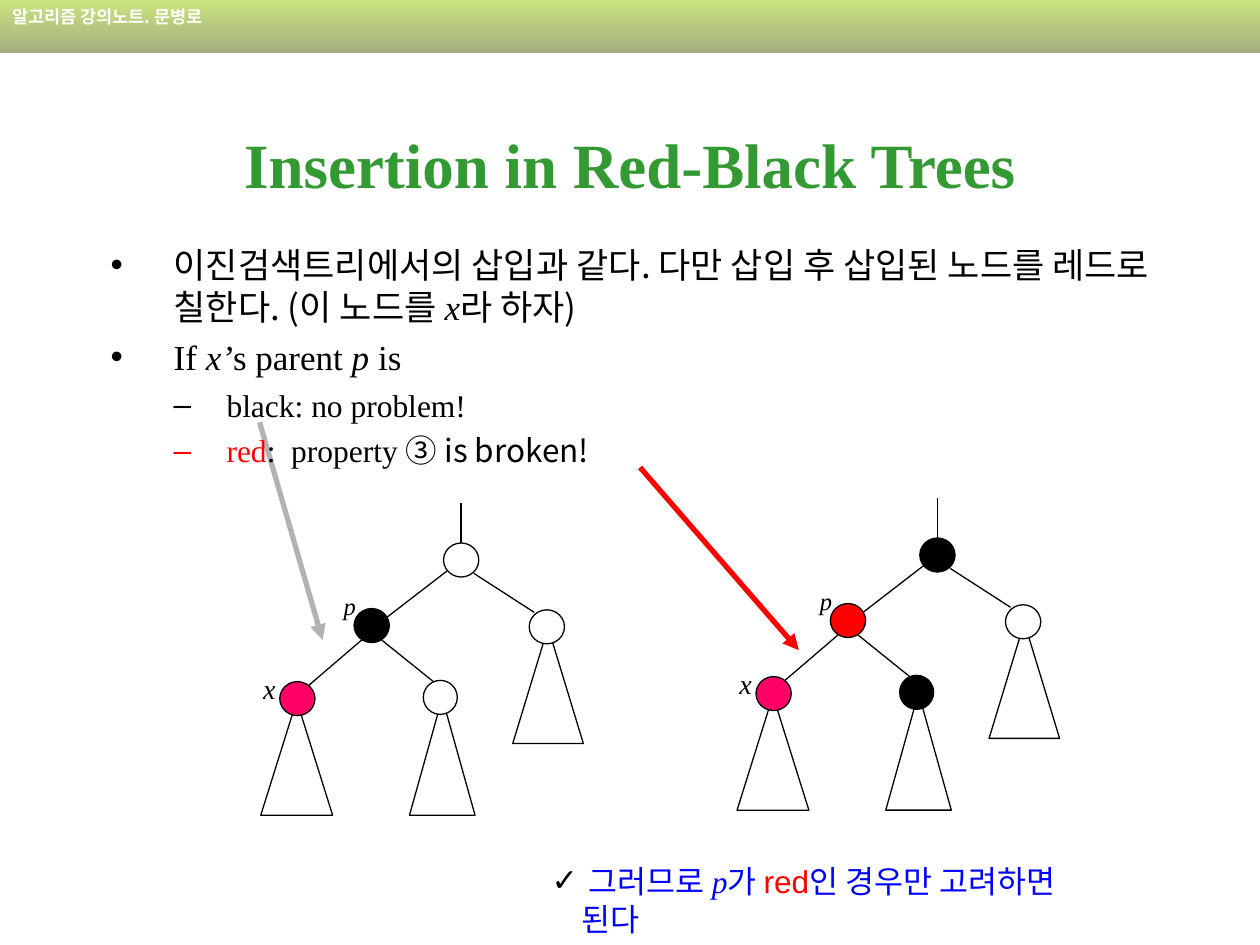
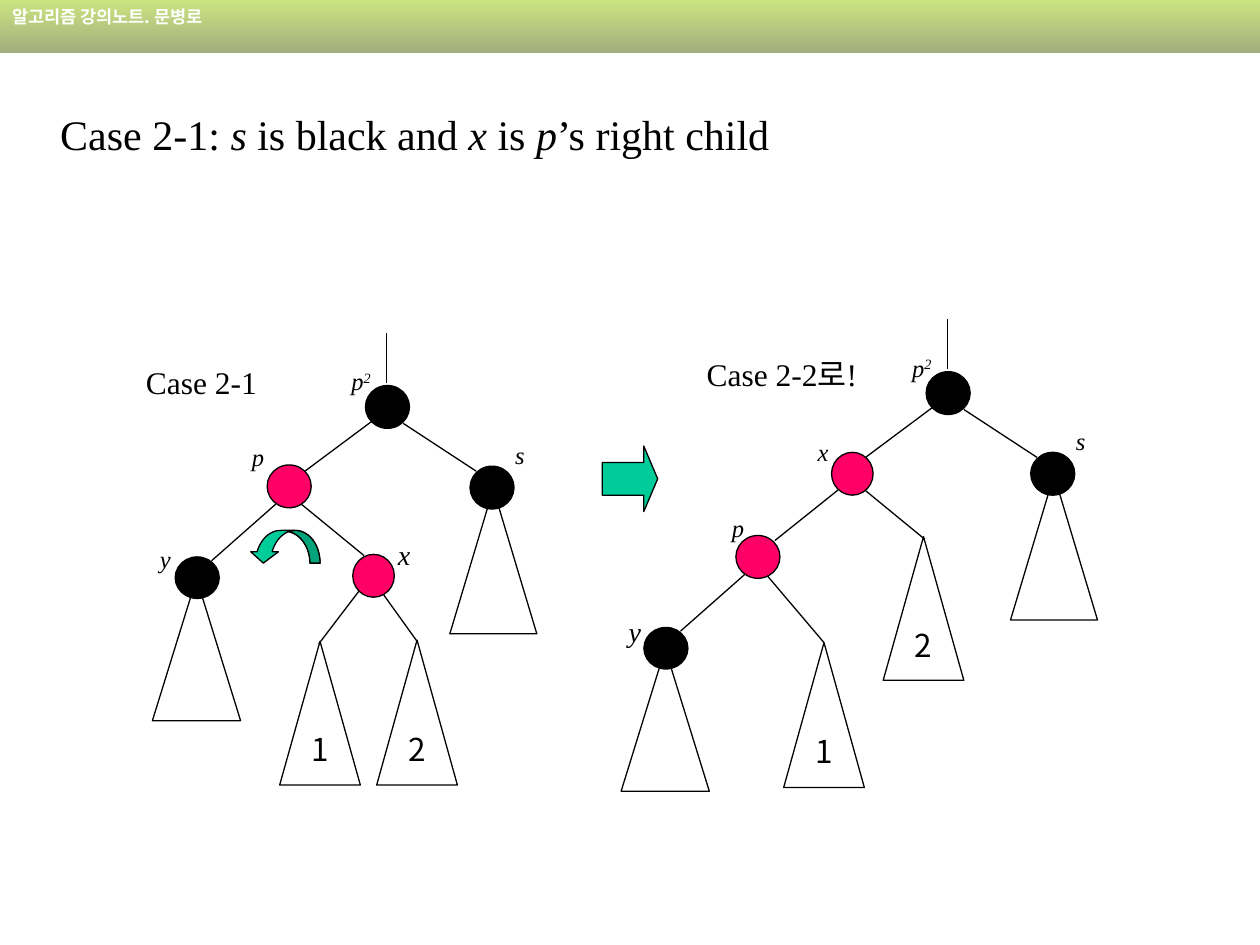
from dataclasses import dataclass

import pptx
import pptx.dml.color
import pptx.enum.dml
import pptx.enum.shapes
import pptx.enum.text
import pptx.oxml.ns
import pptx.util
from lxml import etree

Inches = pptx.util.Inches
Pt = pptx.util.Pt
SHAPE = pptx.enum.shapes.MSO_SHAPE
ALIGN = pptx.enum.text.PP_ALIGN
ANCHOR = pptx.enum.text.MSO_ANCHOR
qn = pptx.oxml.ns.qn


@dataclass(frozen=True)
class Theme:
    serif: str = "Times New Roman"
    sans: str = "Arial"
    korean: str = "Noto Sans CJK KR"
    black: str = "000000"
    white: str = "FFFFFF"
    red: str = "FF0000"
    pink: str = "FF0066"
    blue: str = "0000FF"
    grey: str = "B2B2B2"
    title: str = "339933"
    arrow: str = "00CC99"
    arrow_shade: str = "00A37A"
    band: tuple = ("99CC00", "475E00")
    title_size: int = 36
    heading_size: int = 24
    body_size: int = 20
    text_size: int = 18
    big_label: int = 16
    label: int = 14
    header_size: int = 10
    thin: float = 0.75
    thick: float = 3


T = Theme()
ITALIC = dict(name=T.serif, italic=True)
KOREAN = dict(name=T.korean)


def rgb(code):
    return pptx.dml.color.RGBColor.from_string(code)


def add_xml(parent, tag, **attrs):
    return etree.SubElement(parent, qn(tag), **attrs)


def write(p, runs, **base):
    """Fill a paragraph from strings or (string, format) pairs."""
    for item in runs:
        text, own = (item, {}) if isinstance(item, str) else item
        fmt = {"name": T.serif, "size": T.text_size, "color": T.black, **base, **own}
        r = p.add_run()
        r.text = text
        r.font.color.rgb = rgb(fmt.pop("color"))
        baseline = fmt.pop("baseline", None)
        fmt["size"] = Pt(fmt["size"])
        for key, value in fmt.items():
            setattr(r.font, key, value)
        rPr = r.font._element
        add_xml(rPr, "a:ea", typeface=T.korean)
        if baseline:
            rPr.set("baseline", str(baseline))


def bullet(p, char, margin, hang, color=T.black):
    pPr = p._p.get_or_add_pPr()
    pPr.set("marL", str(Inches(margin)))
    pPr.set("indent", str(-Inches(hang)))
    if char:
        add_xml(add_xml(pPr, "a:buClr"), "a:srgbClr", val=color)
        add_xml(pPr, "a:buFont", typeface=T.sans)
        add_xml(pPr, "a:buChar", char=char)


def bezier(p0, p1, p2, p3, steps=12):
    """Points along a cubic curve, without its start."""
    for i in range(1, steps + 1):
        t = i / steps
        u = 1 - t
        yield tuple(u**3 * a + 3 * u * u * t * b + 3 * u * t * t * c + t**3 * d
                    for a, b, c, d in zip(p0, p1, p2, p3))


class Deck:
    def __init__(self):
        self.prs = pptx.Presentation()
        self.prs.slide_width, self.prs.slide_height = Inches(10), Inches(7.5)
        self.s = None

    def new_slide(self):
        self.s = self.prs.slides.add_slide(self.prs.slide_layouts[6])
        self.header()

    def header(self):
        sp = self.shape(SHAPE.RECTANGLE, 0, 0, 10, 0.42, line=None)
        sp.fill.gradient()
        sp.fill.gradient_angle = 270
        for stop, color in zip(sp.fill.gradient_stops, T.band):
            stop.color.rgb = rgb(color)
        for clr in sp._element.spPr.iter(qn("a:srgbClr")):
            add_xml(clr, "a:alpha", val="50000")
        tf = sp.text_frame
        tf.vertical_anchor = ANCHOR.TOP
        tf.paragraphs[0].alignment = ALIGN.LEFT
        write(tf.paragraphs[0], ["알고리즘 강의노트. 문병로"], name=T.korean,
              size=T.header_size, color=T.white, bold=True)

    def style(self, sp, fill, line):
        sp.shadow.inherit = False
        if fill:
            sp.fill.solid()
            sp.fill.fore_color.rgb = rgb(fill)
        else:
            sp.fill.background()
        if line:
            sp.line.color.rgb = rgb(line)
            sp.line.width = Pt(T.thin)
        else:
            sp.line.fill.background()

    def shape(self, kind, x, y, w, h, fill=None, line=T.black):
        sp = self.s.shapes.add_shape(kind, Inches(x), Inches(y), Inches(w), Inches(h))
        self.style(sp, fill, line)
        return sp

    def outline(self, points, fill, line=T.black):
        pts = [(Inches(x), Inches(y)) for x, y in points]
        fb = self.s.shapes.build_freeform(*pts[0], scale=1.0)
        fb.add_line_segments(pts[1:], close=True)
        self.style(fb.convert_to_shape(), fill, line)

    def line(self, x1, y1, x2, y2, color=T.black, width=T.thin, arrow=False):
        cx = self.s.shapes.add_connector(
            pptx.enum.shapes.MSO_CONNECTOR.STRAIGHT,
            Inches(x1), Inches(y1), Inches(x2), Inches(y2))
        cx.line.color.rgb = rgb(color)
        cx.line.width = Pt(width)
        if arrow:
            add_xml(cx.line._get_or_add_ln(), "a:tailEnd", type="triangle")
        add_xml(cx._element.spPr, "a:effectLst")

    def text(self, x, y, w, h, wrap=True):
        """Add a text box and return its frame."""
        tf = self.s.shapes.add_textbox(Inches(x), Inches(y), Inches(w), Inches(h)).text_frame
        tf.word_wrap = wrap
        if not wrap:
            tf.auto_size = pptx.enum.text.MSO_AUTO_SIZE.SHAPE_TO_FIT_TEXT
        return tf

    def caption(self, x, y, w, text):
        write(self.text(x, y, w, 0.4, wrap=False).paragraphs[0], [text])

    def node_label(self, text, x, y, size=T.label):
        """Letter of a node; any further characters become a superscript."""
        raised = text[1:]
        tf = self.text(x, y, 0.5 if raised else 0.3, 0.37 if size > T.label else 0.34,
                       wrap=bool(raised))
        runs = [text[0]] + [(c, dict(baseline=30000)) for c in raised]
        write(tf.paragraphs[0], runs, size=size, italic=True)

    def subtree(self, x, y, w, h, text=""):
        sp = self.shape(SHAPE.ISOSCELES_TRIANGLE, x, y, w, h)
        if text:
            tf = sp.text_frame
            tf.word_wrap = False
            tf.vertical_anchor = ANCHOR.MIDDLE
            tf.paragraphs[0].alignment = ALIGN.CENTER
            write(tf.paragraphs[0], [text], name=T.korean)

    def tree(self, subtrees=(), edges=(), nodes=(), labels=(), dx=0, dy=0, colors=None):
        """Draw tree parts moved by (dx, dy); colors replaces the node fills in order."""
        for x, y, *rest in subtrees:
            self.subtree(x + dx, y + dy, *rest)
        for x1, y1, x2, y2 in edges:
            self.line(x1 + dx, y1 + dy, x2 + dx, y2 + dy)
        for i, (x, y, w, h, fill) in enumerate(nodes):
            fill = colors[i] if colors else fill
            self.shape(SHAPE.OVAL, x + dx, y + dy, w, h, fill)
        for text, x, y, *size in labels:
            self.node_label(text, x + dx, y + dy, *size)


INSERTION_TREE = dict(
    subtrees=[(4.07, 4.98, 0.56, 0.92), (2.07, 5.56, 0.57, 0.91), (3.25, 5.54, 0.52, 0.93)],
    edges=[(3.66, 4.31, 3.66, 3.99), (3.55, 4.53, 3.07, 4.9), (3.76, 4.55, 4.24, 4.86),
           (2.87, 5.08, 2.45, 5.44), (3.03, 5.08, 3.44, 5.41)],
    nodes=[(3.52, 4.31, 0.28, 0.27, None), (2.81, 4.83, 0.28, 0.27, T.black),
           (4.2, 4.84, 0.28, 0.27, T.white), (2.22, 5.41, 0.28, 0.27, T.pink),
           (3.36, 5.4, 0.27, 0.27, T.white)],
    labels=[("x", 1.99, 5.28, T.big_label), ("p", 2.63, 4.64)])

GRANDPARENT_AND_S = dict(
    subtrees=[(3.57, 3.88, 0.69, 1.15)],
    edges=[(3.07, 3.04, 3.07, 2.64), (2.97, 3.33, 2.42, 3.74), (3.2, 3.36, 3.78, 3.74)],
    nodes=[(2.9, 3.06, 0.35, 0.34, T.black), (3.73, 3.7, 0.35, 0.34, T.black)],
    labels=[("p2", 2.69, 2.86), ("s", 3.99, 3.44)])

P_AND_Y = dict(
    subtrees=[(1.21, 4.59, 0.7, 1.13)],
    edges=[(2.19, 4, 1.68, 4.45)],
    nodes=[(2.12, 3.69, 0.35, 0.34, T.pink), (1.39, 4.42, 0.35, 0.33, T.black)])

X_BEFORE = dict(
    subtrees=[(2.22, 5.09, 0.64, 1.14, "1"), (2.99, 5.08, 0.64, 1.15, "2")],
    edges=[(2.39, 4, 2.89, 4.41), (2.85, 4.69, 2.53, 5.11), (3.03, 4.7, 3.31, 5.09)],
    nodes=[(2.8, 4.4, 0.33, 0.34, T.pink)],
    labels=[("x", 3.06, 4.22, T.big_label), ("p", 1.9, 3.46), ("y", 1.17, 4.27)])

X_AFTER = dict(
    subtrees=[(7.01, 4.26, 0.64, 1.14, "2"), (6.22, 5.1, 0.64, 1.15, "1")],
    edges=[(6.84, 3.87, 7.34, 4.28), (6.65, 3.89, 6.15, 4.29), (6.09, 4.57, 6.54, 5.1)],
    nodes=[(6.6, 3.59, 0.33, 0.34, T.pink)],
    labels=[("x", 6.39, 3.42), ("p", 5.71, 4.02), ("y", 4.89, 4.83, T.big_label)])


def insertion_slide(d):
    d.new_slide()
    d.line(2.06, 3.35, 2.56, 5.08, T.grey, T.thick, arrow=True)
    tf = d.text(0.75, 0.67, 8.5, 1.25)
    tf.vertical_anchor = ANCHOR.MIDDLE
    tf.paragraphs[0].alignment = ALIGN.CENTER
    write(tf.paragraphs[0], ["Insertion in Red-Black Trees"],
          size=T.title_size, color=T.title, bold=True)

    points = [
        (0, T.black, [("이진검색트리에서의 삽입과 같다. 다만 삽입 후 삽입된 노드를 레드로 칠한다. (이 노드를 ", KOREAN),
                      ("x", ITALIC), ("라 하자)", KOREAN)]),
        (0, T.black, ["If ", ("x’", ITALIC), "s parent", (" p ", ITALIC), "is"]),
        (1, T.black, ["black: no problem!"]),
        (1, T.red, [("red", dict(color=T.red)), ":  property ", ("③ is broken!", KOREAN)]),
    ]
    levels = [("•", 0.5, 0.5, T.body_size, 5), ("–", 0.92, 0.42, T.text_size, 4.5)]
    tf = d.text(0.78, 1.88, 8.54, 2.01)
    for i, (level, color, runs) in enumerate(points):
        char, margin, hang, size, before = levels[level]
        p = tf.add_paragraph() if i else tf.paragraphs[0]
        p.level = level
        p.space_before = Pt(before)
        bullet(p, char, margin, hang, color)
        write(p, runs, size=size)

    d.tree(**INSERTION_TREE)
    d.tree(**INSERTION_TREE, dx=3.78, dy=-0.04,
           colors=[T.black, T.red, T.white, T.pink, T.black])
    d.line(5.08, 3.71, 6.34, 5.16, T.red, T.thick, arrow=True)

    p = d.text(4.28, 6.79, 4.7, 0.4).paragraphs[0]
    bullet(p, "✓", 0.24, 0.24)
    write(p, [" ", "그러므로 ", ("p", ITALIC), "가 ", ("red", dict(color=T.red)),
              "인 경우만 고려하면 된다"], name=T.sans, color=T.blue)


def rotation_arrow(d):
    tail, fold = (2.54, 4.47), (2.29, 4.22)
    outer = [tail, *bezier(tail, (2.54, 4.32), (2.45, 4.21), (2.34, 4.21))]
    inner = [fold, *bezier(fold, (2.39, 4.24), (2.46, 4.35), (2.46, 4.47))]
    head = [(2.23, 4.21), *bezier((2.23, 4.21), (2.14, 4.21), (2.07, 4.28), (2.04, 4.38)),
            (1.99, 4.38), (2.09, 4.47), (2.21, 4.38), (2.16, 4.38),
            *bezier((2.16, 4.38), (2.18, 4.31), (2.22, 4.25), fold)]
    d.outline(outer + head + inner, T.arrow)
    d.outline(outer + inner, T.arrow_shade)


def case_slide(d):
    d.new_slide()
    p = d.text(0.38, 0.81, 8.54, 0.72).paragraphs[0]
    p.space_before = Pt(6)
    bullet(p, None, 0.5, 0.5)
    write(p, ["Case 2-1: ", ("s", ITALIC), " is black and ", ("x ", ITALIC), "is ",
              ("p", ITALIC), "’s right child"], size=T.heading_size)
    d.caption(1.06, 2.83, 1.08, "Case 2-1")
    d.caption(5.51, 2.77, 1.51, "Case 2-2로!")
    d.tree(**GRANDPARENT_AND_S)
    d.tree(**P_AND_Y)
    d.tree(**X_BEFORE)
    d.tree(**GRANDPARENT_AND_S, dx=4.45, dy=-0.11)
    d.tree(**P_AND_Y, dx=3.72, dy=0.56)
    d.tree(**X_AFTER)
    sp = d.shape(SHAPE.RIGHT_ARROW, 4.78, 3.54, 0.44, 0.52, T.arrow)
    sp.adjustments[0], sp.adjustments[1] = 0.5, 0.25
    rotation_arrow(d)


def main():
    d = Deck()
    insertion_slide(d)
    case_slide(d)
    d.prs.save("out.pptx")


if __name__ == "__main__":
    main()
